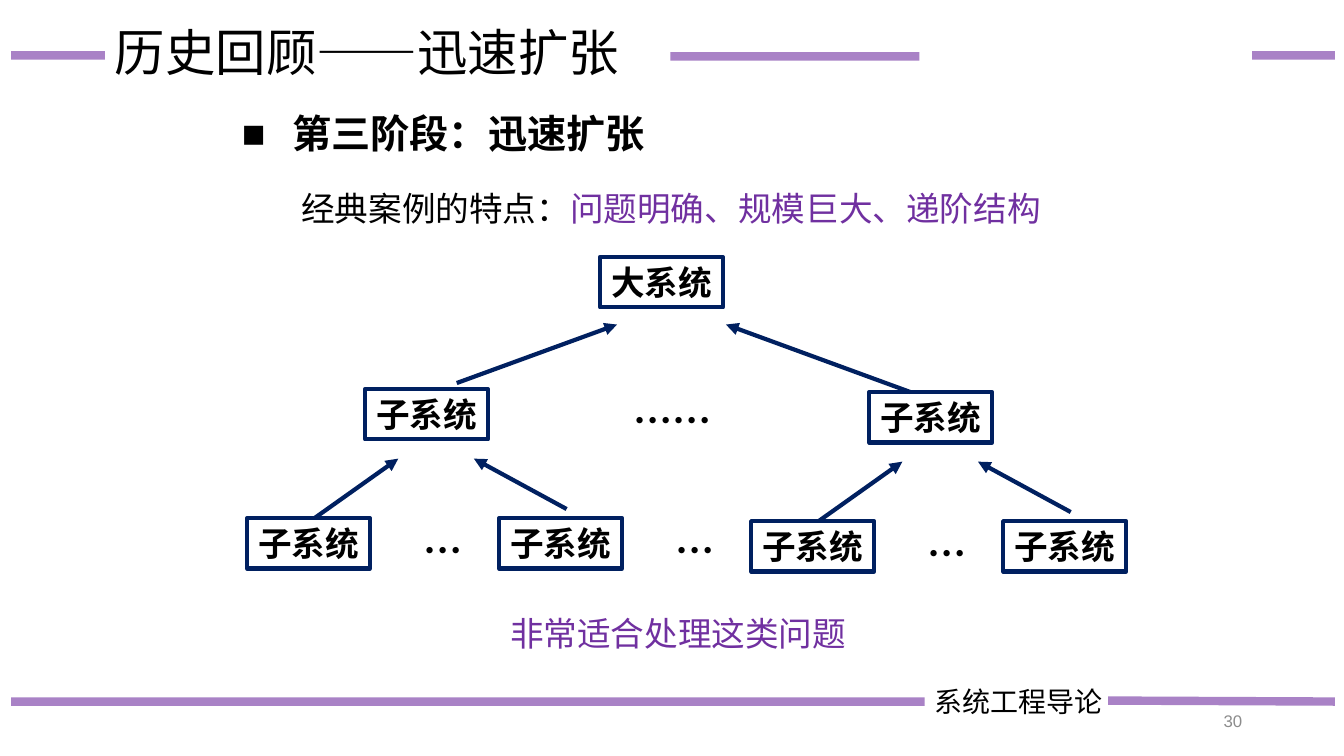
from dataclasses import dataclass

from lxml import etree
from pptx import Presentation
from pptx.dml.color import RGBColor
from pptx.enum.shapes import MSO_CONNECTOR, MSO_SHAPE
from pptx.enum.text import MSO_ANCHOR, MSO_AUTO_SIZE, PP_ALIGN
from pptx.oxml.ns import qn
from pptx.util import Inches, Pt

STRAIGHT = MSO_CONNECTOR.STRAIGHT
RECTANGLE = MSO_SHAPE.RECTANGLE
TOP, MIDDLE = MSO_ANCHOR.TOP, MSO_ANCHOR.MIDDLE
LEFT, CENTER, RIGHT = PP_ALIGN.LEFT, PP_ALIGN.CENTER, PP_ALIGN.RIGHT
NO_AUTOFIT = MSO_AUTO_SIZE.NONE


@dataclass(frozen=True)
class Theme:
    heading_font: str = "Noto Sans CJK SC"
    body_font: str = "Arial"
    black: RGBColor = RGBColor(0x00, 0x00, 0x00)
    purple: RGBColor = RGBColor(0x70, 0x30, 0xA0)
    navy: RGBColor = RGBColor(0x00, 0x20, 0x60)
    gray: RGBColor = RGBColor(0x8C, 0x8C, 0x8C)
    title_size: int = 36
    heading_size: int = 28
    text_size: int = 24
    footer_size: int = 20
    number_size: int = 12
    rule_width: int = 6
    diagram_width: int = 3
    rule_opacity: int = 60


class SlideBuilder:
    def __init__(self, slide, theme):
        self.slide = slide
        self.theme = theme

    def place(self, shape, left, top, width, height):
        shape.left, shape.top = Inches(left), Inches(top)
        shape.width, shape.height = Inches(width), Inches(height)

    def format_text(self, shape, parts, size, font=None, color=None, bold=False,
                    align=LEFT, anchor=TOP, wrap=True, indent=0, bullet=None,
                    line_spacing=None):
        """Fill a shape with one paragraph; parts are (text, colour or None) pairs."""
        frame = shape.text_frame
        frame.auto_size = NO_AUTOFIT
        frame.word_wrap = wrap
        frame.vertical_anchor = anchor
        paragraph = frame.paragraphs[0]
        for text, run_color in parts:
            run = paragraph.add_run()
            run.text = text
            if run_color is not None:
                run.font.color.rgb = run_color
        paragraph.alignment = align
        paragraph.space_before = Pt(0)
        if line_spacing:
            paragraph.line_spacing = line_spacing
        properties = paragraph._p.get_or_add_pPr()
        properties.set("marL", str(Inches(indent)))
        properties.set("indent", str(Inches(-indent if bullet else 0)))
        if bullet:
            etree.SubElement(properties, qn("a:buChar"), char=bullet)
        name = font or self.theme.heading_font
        paragraph.font.name = name
        paragraph.font.size = Pt(size)
        paragraph.font.bold = bold
        paragraph.font.color.rgb = color or self.theme.black
        defaults = properties.find(qn("a:defRPr"))
        etree.SubElement(defaults, qn("a:ea"), typeface=name)

    def title(self, text):
        shape = self.slide.shapes.title
        self.place(shape, 1.04, -0.18, 11.5, 1.45)
        self.format_text(shape, [(text, None)], self.theme.title_size,
                         anchor=MIDDLE, line_spacing=0.9)

    def heading(self, text):
        shape = self.slide.placeholders[1]
        self.place(shape, 2.3, 1.09, 4.26, 0.53)
        self.format_text(shape, [(text, None)], self.theme.heading_size, bold=True,
                         wrap=False, indent=0.5, bullet="■", line_spacing=0.9)

    def text(self, bounds, parts, size, **style):
        shape = self.slide.shapes.add_textbox(*map(Inches, bounds))
        self.format_text(shape, parts, size, **style)
        return shape

    def ellipsis(self, left, top, text="…"):
        width = 0.39 * len(text)
        shape = self.text((left, top, width, 0.47), [(text, None)],
                          self.theme.heading_size, bold=True, wrap=False)
        frame = shape.text_frame
        frame.margin_left = frame.margin_right = 0
        frame.margin_top = frame.margin_bottom = 0

    def line(self, start, end, color, width):
        connector = self.slide.shapes.add_connector(
            STRAIGHT, *map(Inches, (*start, *end)))
        connector.line.color.rgb = color
        connector.line.width = Pt(width)
        etree.SubElement(connector._element.spPr, qn("a:effectLst"))
        return connector.line._get_or_add_ln()

    def rule(self, start, end):
        outline = self.line(start, end, self.theme.purple, self.theme.rule_width)
        color = outline.find(".//" + qn("a:srgbClr"))
        etree.SubElement(color, qn("a:alpha"), val=str(self.theme.rule_opacity * 1000))

    def arrow(self, start, end):
        outline = self.line(start, end, self.theme.navy, self.theme.diagram_width)
        etree.SubElement(outline, qn("a:tailEnd"), type="triangle")

    def system_box(self, left, top, text="子系统"):
        shape = self.slide.shapes.add_shape(
            RECTANGLE, *map(Inches, (left, top, 1.22, 0.5)))
        shape.shadow.inherit = False
        shape.fill.background()
        shape.line.color.rgb = self.theme.navy
        shape.line.width = Pt(self.theme.diagram_width)
        self.format_text(shape, [(text, None)], self.theme.text_size, bold=True,
                         align=CENTER, anchor=MIDDLE, wrap=False)

    def branch(self, left, top):
        """Draw a subsystem with its two children, placed from the parent box."""
        self.system_box(left, top)
        for child_offset in (-1.17, 1.33):
            self.system_box(left + child_offset, top + 1.28)
        self.arrow((left - 0.5, top + 1.28), (left + 0.33, top + 0.69))
        self.arrow((left + 2, top + 1.19), (left + 1.08, top + 0.69))
        self.ellipsis(left + 0.58, top + 1.36)


def main():
    presentation = Presentation()
    presentation.slide_width = Inches(13.33)
    presentation.slide_height = Inches(7.5)
    slide = presentation.slides.add_slide(presentation.slide_layouts[1])
    theme = Theme()
    builder = SlideBuilder(slide, theme)

    for start, end in (
        ((0.11, 6.96), (9.17, 6.96)),
        ((10.99, 6.95), (13.24, 6.96)),
        ((0.11, 0.55), (1.04, 0.55)),
        ((12.42, 0.55), (13.24, 0.55)),
        ((6.65, 0.56), (9.12, 0.56)),
    ):
        builder.rule(start, end)

    builder.title("历史回顾——迅速扩张")
    builder.heading("第三阶段：迅速扩张")
    builder.text((2.39, 1.82, 8.33, 0.5),
                 [("经典案例的特点：", None), ("问题明确、规模巨大、递阶结构", theme.purple)],
                 theme.text_size, font=theme.body_font, indent=0.5)

    builder.system_box(5.95, 2.55, "大系统")
    builder.branch(3.62, 3.86)
    builder.branch(8.62, 3.89)
    builder.arrow((4.53, 3.8), (6.12, 3.22))
    builder.arrow((9.03, 3.89), (7.2, 3.22))
    builder.ellipsis(6.28, 3.93, "……")
    builder.ellipsis(6.7, 5.22)

    builder.text((4.46, 6.03, 4.42, 0.5), [("非常适合处理这类问题", None)],
                 theme.text_size, font=theme.body_font, color=theme.purple, indent=0.5)
    builder.text((9.17, 6.74, 2.51, 0.44), [("系统工程导论", None)], theme.footer_size)
    builder.text((9.42, 6.95, 3, 0.4), [("30", None)], theme.number_size,
                 font=theme.body_font, color=theme.gray, align=RIGHT, anchor=MIDDLE)

    presentation.save("out.pptx")


if __name__ == "__main__":
    main()
